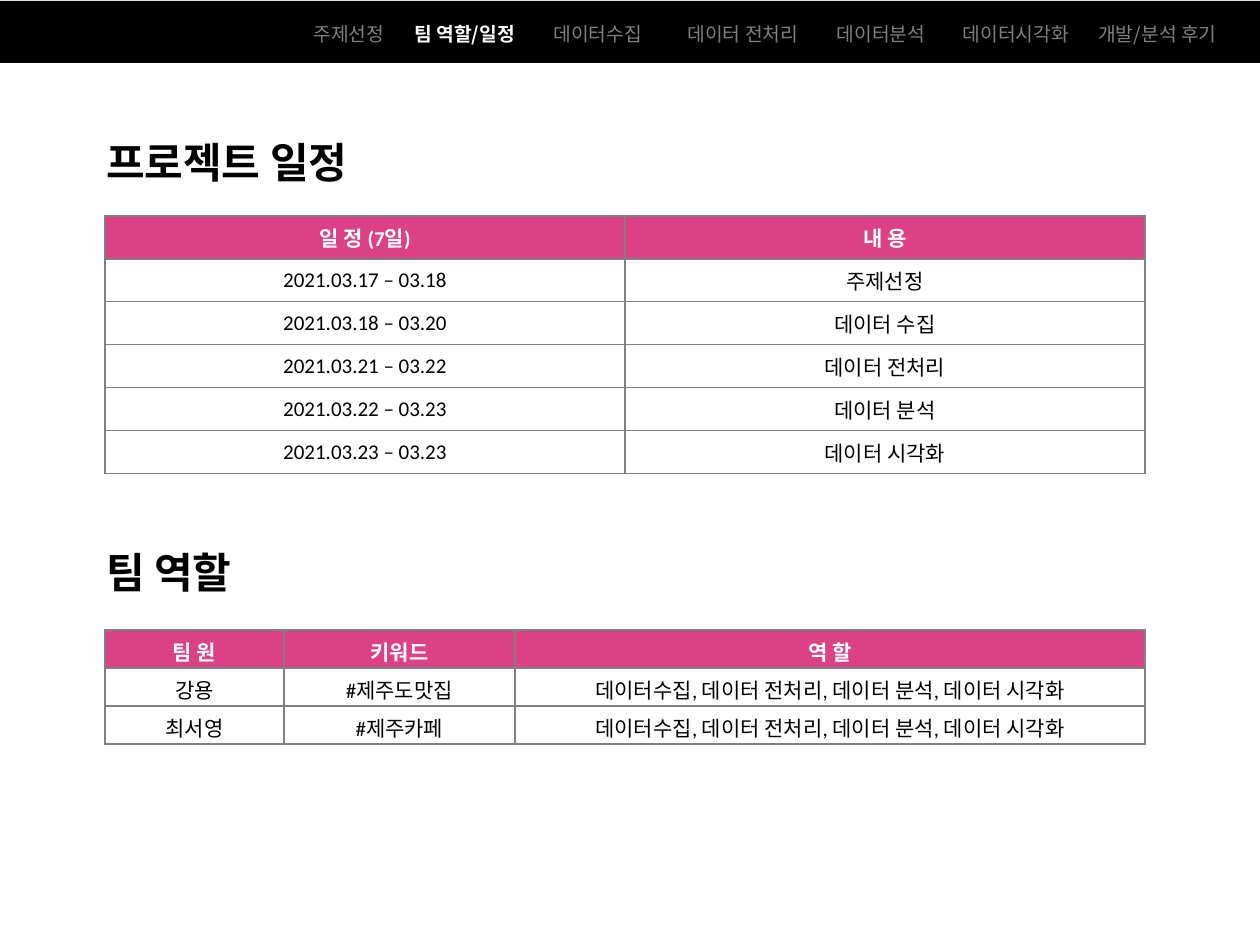
import pptx
import pptx.dml.color
import pptx.enum.shapes
import pptx.enum.text
import pptx.util
from lxml import etree
from pptx.oxml.ns import qn

PX = 914400 / 126
CENTER = pptx.enum.text.PP_ALIGN.CENTER
LEFT = pptx.enum.text.PP_ALIGN.LEFT
KOREAN_FONT = "Noto Sans CJK KR"


def px(count):
    return pptx.util.Emu(round(count * PX))


def style(paragraph, size, face, color, bold, align):
    paragraph.alignment = align
    paragraph.font.size = pptx.util.Pt(size)
    paragraph.font.name = face
    paragraph.font.bold = bold
    paragraph.font.color.rgb = pptx.dml.color.RGBColor.from_string(color)


deck = pptx.Presentation()
deck.slide_width, deck.slide_height = px(1260), px(945)
slide = deck.slides.add_slide(deck.slide_layouts[6])

nav_bar = slide.shapes.add_shape(
    pptx.enum.shapes.MSO_SHAPE.RECTANGLE, px(0), px(1), px(1260), px(62))
nav_bar.shadow.inherit = False
nav_bar.fill.solid()
nav_bar.fill.fore_color.rgb = pptx.dml.color.RGBColor.from_string("000000")
nav_bar.line.fill.background()

# Navigation steps and section headings: text, left, top, width, height, style
current_step = "팀 역할/일정"
steps = [
    ("주제선정", 305, 87),
    (current_step, 388, 152),
    ("데이터수집", 546, 103),
    ("데이터 전처리", 672, 141),
    ("데이터분석", 829, 103),
    ("데이터시각화", 955, 121),
    ("개발/분석 후기", 1086, 142),
]
labels = [
    (step, left, 21, width, 25, 11,
     "FFFFFF" if step == current_step else "808080", step == current_step, CENTER)
    for step, left, width in steps
]
labels += [
    (heading, 105, top, 610, 53, 24, "000000", True, LEFT)
    for heading, top in [("프로젝트 일정", 136), ("팀 역할", 546)]
]
for text, left, top, width, height, size, color, bold, align in labels:
    frame = slide.shapes.add_textbox(px(left), px(top), px(width), px(height)).text_frame
    frame.word_wrap = True
    frame.margin_left = px(1)
    frame.margin_right = frame.margin_bottom = 0
    frame.margin_top = px(1)
    frame.text = text
    style(frame.paragraphs[0], size, KOREAN_FONT, color, bold, align)

schedule = [
    ("일 정 (7일)", "내 용"),
    ("2021.03.17 – 03.18", "주제선정"),
    ("2021.03.18 – 03.20", "데이터 수집"),
    ("2021.03.21 – 03.22", "데이터 전처리"),
    ("2021.03.22 – 03.23", "데이터 분석"),
    ("2021.03.23 – 03.23", "데이터 시각화"),
]
all_tasks = "데이터수집, 데이터 전처리, 데이터 분석, 데이터 시각화"
roles = [
    ("팀 원", "키워드", "역 할"),
    ("강용", "#제주도맛집", all_tasks),
    ("최서영", "#제주카페", all_tasks),
]

# Rows, top, column widths, row height, top and bottom cell margins
tables = [
    (schedule, 216, [520, 520], 43, 6, 6),
    (roles, 630, [179, 231, 630], 38, 6, 1),
]
for rows, top, widths, row_height, margin_top, margin_bottom in tables:
    table = slide.shapes.add_table(
        len(rows), len(widths), px(105), px(top),
        px(sum(widths)), px(row_height * len(rows))).table
    table.horz_banding = False
    table.first_row = False
    for column, width in zip(table.columns, widths):
        column.width = px(width)
    for row_index, row in enumerate(rows):
        table.rows[row_index].height = px(row_height)
        is_header = row_index == 0
        for column_index, text in enumerate(row):
            cell = table.cell(row_index, column_index)
            cell.text = text
            cell.vertical_anchor = pptx.enum.text.MSO_ANCHOR.MIDDLE
            cell.margin_top, cell.margin_bottom = px(margin_top), px(margin_bottom)
            style(cell.text_frame.paragraphs[0], 12, "Calibri",
                  "FFFFFF" if is_header else "000000", is_header, CENTER)
            properties = cell._tc.get_or_add_tcPr()
            for side in ("lnL", "lnR", "lnT", "lnB"):
                border = etree.SubElement(
                    properties, qn(f"a:{side}"), w=str(pptx.util.Pt(0.75)))
                border_fill = etree.SubElement(border, qn("a:solidFill"))
                etree.SubElement(border_fill, qn("a:srgbClr"), val="808080")
            cell.fill.solid()
            cell.fill.fore_color.rgb = pptx.dml.color.RGBColor.from_string(
                "DB4184" if is_header else "FFFFFF")
            # The schema wants the fill after the borders
            properties.append(properties.find(qn("a:solidFill")))

deck.save("out.pptx")
